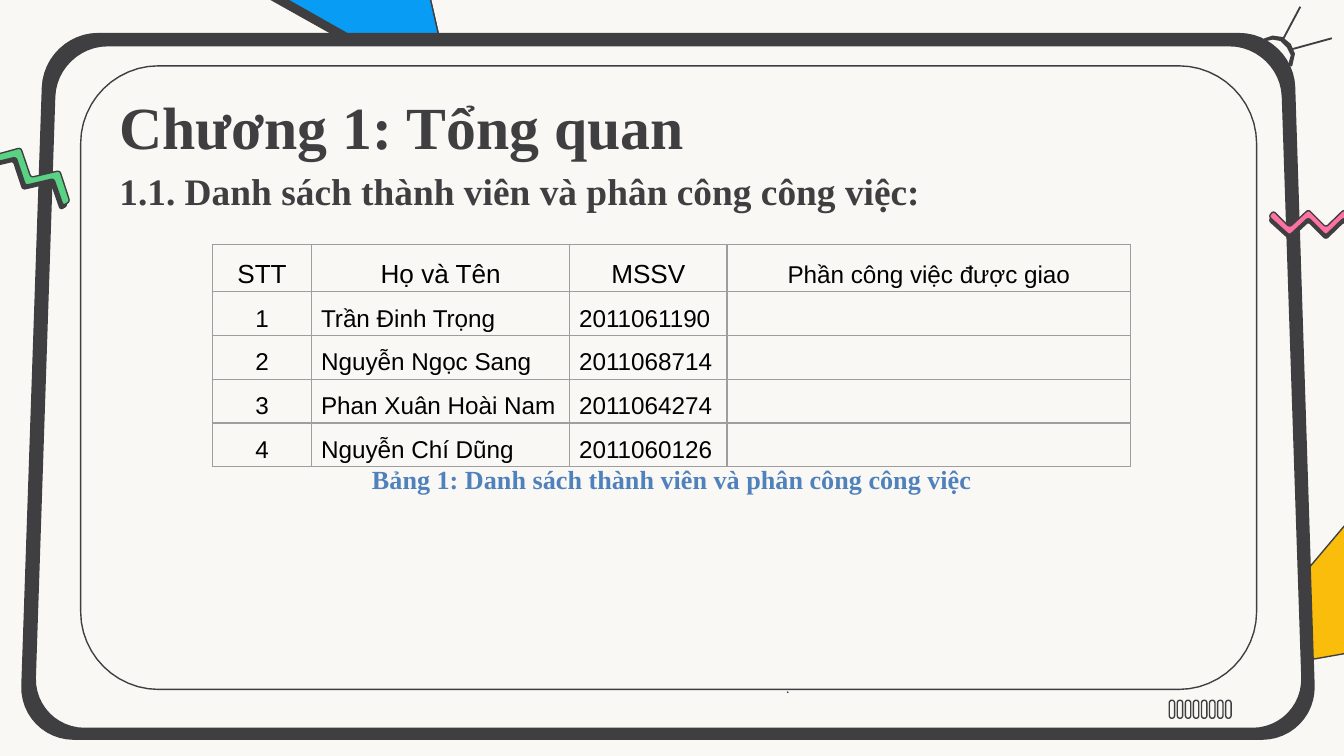
"""Builds the chapter slide with the member table on a grid of 100 columns."""
from lxml import etree
from pptx import Presentation
from pptx import util as u
from pptx.dml.color import RGBColor
from pptx.enum import shapes, text
from pptx.oxml.ns import qn

CELL = u.Inches(0.1)
DARK, PAPER, GREY, BLACK = "3F3F41", "FAF8F4", "9E9E9E", "000000"
SERIF, SANS = "Times New Roman", "Arial"
CENTER, LEFT = text.PP_ALIGN.CENTER, text.PP_ALIGN.LEFT

TRIANGLES = [
    ([(101.6, 38.2), (91.8, 49.9), (105.4, 47.4)], DARK),
    ([(100.9, 38.1), (90.6, 50.3), (104.8, 47.8)], "FABD0B"),
    ([(29.5, -10.9), (17.9, -1.3), (33.8, 7.6)], DARK),
    ([(29.4, -11.7), (17.7, -2.1), (33.6, 6.9)], "089CF4"),
]
FRAMES = [
    ([(3.3, 2.5), (96.2, 2.5), (97.9, 55), (1.5, 55)], 4, DARK),
    ([(4.2, 3.4), (95.3, 3.4), (97, 54.2), (2.5, 54.2)], 3.8, PAPER),
    ([(6, 4.9), (93.5, 4.9), (93.5, 51.3), (6, 51.3)], 5.8, PAPER),
]
SPARK_ARC = [(94.1, 2.9), (94.7, 2.7), (95.4, 2.8), (96, 3.3), (96.3, 4), (96.1, 4.9),
             (95.9, 4.8), (96.1, 4.1), (95.8, 3.5), (95.3, 3), (94.7, 2.9), (94.2, 3)]
SPARK_RAYS = [(96, 3.7, 99.1, 2.85), (95.45, 2.95, 96.75, 0.5)]
PINK_ZIGZAG = [(94.75, 15.7), (95.95, 16.9), (97.35, 15.6), (98.65, 16.9), (100, 15.6),
               (101.6, 16.9), (101.2, 17.4), (100, 16.2), (98.65, 17.5), (97.35, 16.2),
               (95.95, 17.5), (94.4, 16.1)]
GREEN_ZIGZAG = [(-1.3, 9.6), (-0.65, 11.6), (1.55, 11), (2.3, 13.2), (4.45, 12.7),
                (5.2, 15), (4.7, 15.3), (4, 13.3), (1.9, 13.8), (1.2, 11.7),
                (-0.9, 12.2), (-1.75, 9.8)]

COLUMNS = [7.4, 19.2, 11.7, 30]
ROWS = [3.3, 2.3, 2.5, 2.2, 2.7]
MEMBERS = [
    ("STT", "Họ và Tên", "MSSV", "Phần công việc được giao"),
    ("1", "Trần Đinh Trọng", "2011061190", ""),
    ("2", "Nguyễn Ngọc Sang", "2011068714", ""),
    ("3", "Phan Xuân Hoài Nam", "2011064274", ""),
    ("4", "Nguyễn Chí Dũng", "2011060126", ""),
]


def grid(*cells):
    """Turn grid cells into slide lengths."""
    return [u.Emu(round(c * CELL)) for c in cells]


def rgb(color):
    """Turn a hex string into a colour."""
    return RGBColor.from_string(color)


def paint(sp, fill, line=DARK):
    """Give a shape a flat fill and a thin outline."""
    sp.shadow.inherit = False
    sp.fill.solid()
    sp.fill.fore_color.rgb = rgb(fill)
    sp.line.color.rgb = rgb(line)
    sp.line.width = u.Pt(0.75)


def rounded(points, radius, steps=12):
    """Replace each corner by a sampled curve that starts a radius away."""
    corners = [complex(*p) for p in points]
    curve = []
    for i, c in enumerate(corners):
        before = corners[i - 1] - c
        after = corners[(i + 1) % len(corners)] - c
        a, b = (radius * v / abs(v) for v in (before, after))
        for n in range(steps + 1):
            t = n / steps
            s = 1 - t
            z = c + a * (s**3 + 1.35 * s * s * t) + b * (t**3 + 1.35 * s * t * t)
            curve.append((z.real, z.imag))
    return curve


def outline(s, points, fill, dx=0, dy=0):
    """Draw a closed filled outline, shifted by dx and dy."""
    pts = [grid(x + dx, y + dy) for x, y in points]
    builder = s.shapes.build_freeform(*pts[0])
    builder.add_line_segments(pts[1:], close=True)
    paint(builder.convert_to_shape(), fill)


def zigzag(s, points, fill, dx):
    """Draw a zigzag ribbon over its dark lower edge."""
    ribbon = rounded(points, 0.2, 4)
    outline(s, ribbon, DARK, dx, 0.3)
    outline(s, ribbon, fill)


def preset(s, kind, box, fill):
    """Draw a preset shape in a grid box."""
    sp = s.shapes.add_shape(kind, *grid(*box))
    paint(sp, fill)
    return sp


def ray(s, ends):
    """Draw a thin straight ray."""
    sp = s.shapes.add_connector(shapes.MSO_CONNECTOR.STRAIGHT, *grid(*ends))
    sp.line.color.rgb = rgb(DARK)
    sp.line.width = u.Pt(1)
    etree.SubElement(sp._element.spPr, qn("a:effectLst"))


def write(tf, words, size, color, font, bold=False, align=LEFT, spacing=None, after=0):
    """Write one run into the first paragraph of a text frame."""
    p = tf.paragraphs[0]
    p.alignment = align
    p.space_after = u.Pt(after)
    if spacing:
        p.line_spacing = spacing
    r = p.add_run()
    r.text = words
    r.font.size, r.font.name, r.font.bold = u.Pt(size), font, bold
    r.font.color.rgb = rgb(color)


def label(s, box, words, size, color=DARK, inset=0.5, **style):
    """Add a bold serif text box."""
    tf = s.shapes.add_textbox(*grid(*box)).text_frame
    tf.word_wrap = True
    tf.margin_top, tf.margin_bottom = grid(inset, inset)
    write(tf, words, size, color, SERIF, True, **style)


def border(cell):
    """Put a thin grey line on each side of a table cell."""
    tc_pr = cell._tc.get_or_add_tcPr()
    for i, side in enumerate(("a:lnL", "a:lnR", "a:lnT", "a:lnB")):
        ln = etree.Element(qn(side), w=str(u.Pt(0.75)))
        fill = etree.SubElement(ln, qn("a:solidFill"))
        etree.SubElement(fill, qn("a:srgbClr"), val=GREY)
        tc_pr.insert(i, ln)


def member_table(s, left, top):
    """Add the table of members."""
    size = (sum(COLUMNS), sum(ROWS))
    frame = s.shapes.add_table(len(ROWS), len(COLUMNS), *grid(left, top, *size))
    table = frame.table
    table.first_row = table.horz_banding = False
    for column, width in zip(table.columns, grid(*COLUMNS)):
        column.width = width
    for i, (row, height) in enumerate(zip(table.rows, grid(*ROWS))):
        row.height = height
        for j, cell in enumerate(row.cells):
            cell.fill.background()
            border(cell)
            cell.margin_left, cell.margin_right = grid(0.7, 0.7)
            cell.margin_top = cell.margin_bottom = 0
            if MEMBERS[i][j]:
                points = 14 if i == 0 and j < 3 else 13
                align = CENTER if i == 0 or j == 0 else LEFT
                write(cell.text_frame, MEMBERS[i][j], points, BLACK, SANS,
                      align=align, spacing=1.5, after=10)
    table.cell(0, 3).vertical_anchor = text.MSO_ANCHOR.MIDDLE


def decorate(s):
    """Draw the frame and the ornaments around it."""
    for points, fill in TRIANGLES:
        outline(s, points, fill)
    for points, radius, fill in FRAMES:
        outline(s, rounded(points, radius), fill)
    outline(s, SPARK_ARC, DARK)
    for ends in SPARK_RAYS:
        ray(s, ends)
    preset(s, shapes.MSO_SHAPE.OVAL, (58.6, 51.5, 0.02, 0.02), "FFFFFF")
    for i in range(8):
        box = (87 + 0.6 * i, 52.1, 0.4, 1.35)
        preset(s, shapes.MSO_SHAPE.ROUNDED_RECTANGLE, box, PAPER).adjustments[0] = 0.5
    zigzag(s, PINK_ZIGZAG, "FF70A3", 0)
    zigzag(s, GREEN_ZIGZAG, "5AD283", -0.2)


def main():
    """Build and save the slide."""
    prs = Presentation()
    prs.slide_width, prs.slide_height = grid(100, 56.25)
    s = prs.slides.add_slide(prs.slide_layouts[6])
    s.background.fill.solid()
    s.background.fill.fore_color.rgb = rgb(PAPER)
    decorate(s)
    label(s, (7.9, 5.7, 44.2, 6.3), "Chương 1: Tổng quan", 32, inset=1)
    label(s, (7.9, 12, 69, 4.4), "1.1. Danh sách thành viên và phân công công việc:", 20,
          after=5)
    member_table(s, 15.8, 18.2)
    label(s, (23.2, 32.8, 53.6, 4.1), "Bảng 1: Danh sách thành viên và phân công công việc",
          14, "4F81BD", align=CENTER, spacing=1.5, after=10)
    prs.save("out.pptx")


if __name__ == "__main__":
    main()
